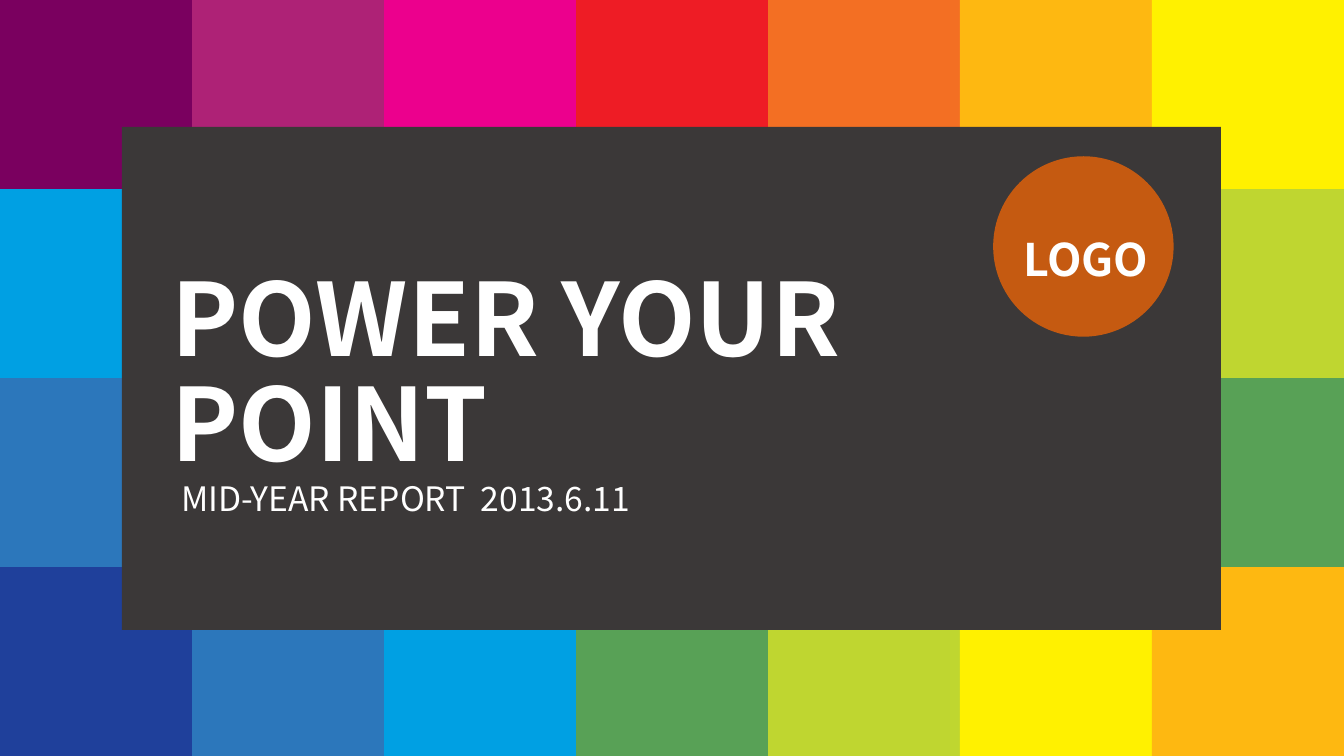
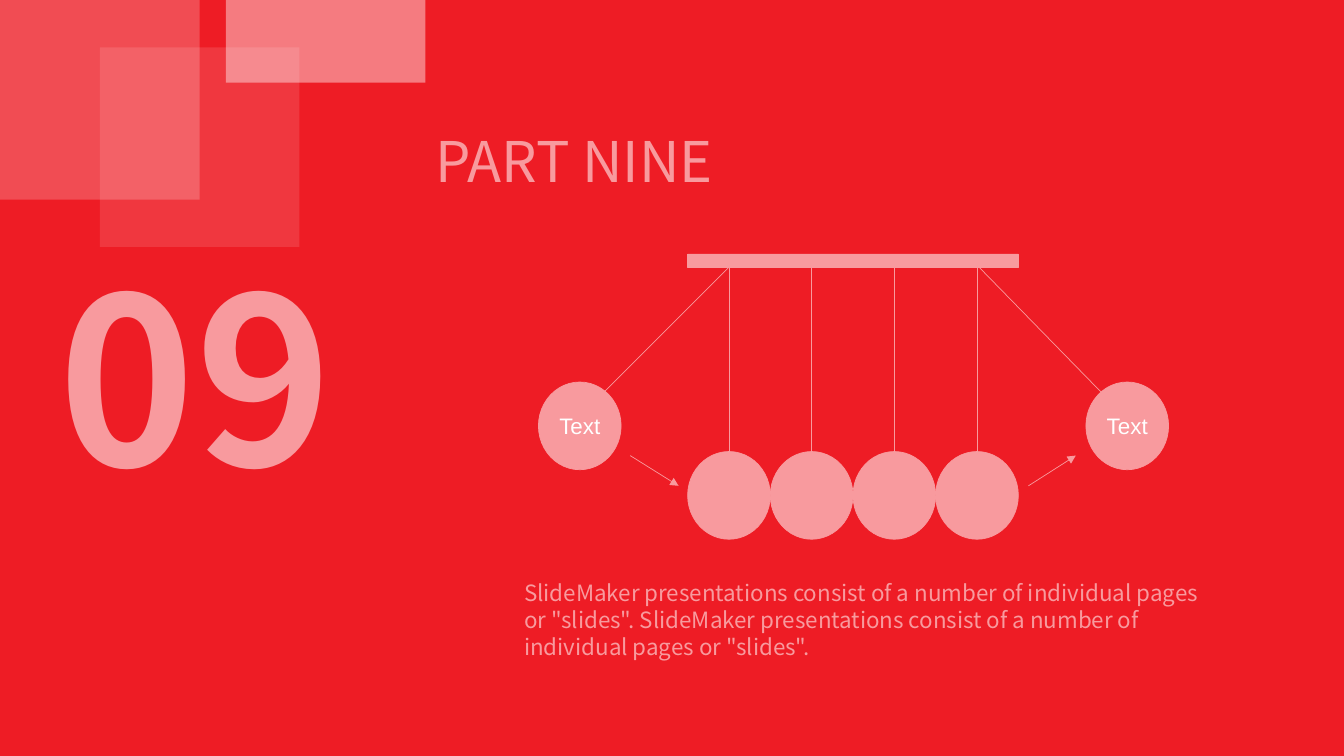
"""Build a colourful report cover and a section slide with a swinging-ball diagram."""
from pptx import Presentation
from pptx.dml.color import RGBColor
from pptx.enum.shapes import MSO_CONNECTOR as Connector, MSO_SHAPE as Shape
from pptx.enum.text import MSO_ANCHOR as Anchor, PP_ALIGN as Align
from pptx.oxml.ns import qn
from pptx.util import Inches, Pt
from lxml.etree import SubElement

WIDTH, HEIGHT = 13.33, 7.5
FONT, LABEL_FONT = "Noto Sans CJK SC", "Arial"

WHITE = RGBColor(0xFF, 0xFF, 0xFF)
CHARCOAL = RGBColor(0x3B, 0x38, 0x38)
RUST = RGBColor(0xC5, 0x5A, 0x11)
PINK = RGBColor(0xF8, 0x9A, 0x9E)
PLUM = RGBColor(0x7A, 0x00, 0x5F)
PURPLE = RGBColor(0xAE, 0x22, 0x76)
MAGENTA = RGBColor(0xEC, 0x00, 0x8D)
RED = RGBColor(0xEE, 0x1C, 0x25)
ORANGE = RGBColor(0xF3, 0x6F, 0x23)
AMBER = RGBColor(0xFE, 0xB8, 0x11)
YELLOW = RGBColor(0xFF, 0xF1, 0x00)
LIME = RGBColor(0xBF, 0xD6, 0x30)
GREEN = RGBColor(0x58, 0xA1, 0x56)
SKY = RGBColor(0x00, 0xA0, 0xE3)
BLUE = RGBColor(0x2C, 0x77, 0xBB)
NAVY = RGBColor(0x1F, 0x40, 0x9B)

MOSAIC = [
    [PLUM, PURPLE, MAGENTA, RED, ORANGE, AMBER, YELLOW],
    [SKY, None, None, None, None, None, LIME],
    [BLUE, None, None, None, None, None, GREEN],
    [NAVY, BLUE, SKY, GREEN, LIME, YELLOW, AMBER],
]
PANEL = (1.21, 1.26, 10.9, 4.99)
BADGE = (9.85, 1.55, 1.79, 1.79)
COVER_TEXTS = [
    ("POWER YOUR POINT", (1.6, 2.65, 7.54, 2.2),
     dict(size=72, bold=True, spacing=75)),
    ("MID-YEAR REPORT\t2013.6.11", (1.7, 4.69, 5.53, 0.5),
     dict(size=24, tab=2.97)),
    ("LOGO", (9.51, 1.95, 2.52, 0.84),
     dict(size=32, bold=True, spacing=60, align=Align.CENTER)),
]

VEILS = [((0.99, 0.47, 1.98, 1.98), 12), ((0, 0, 1.98, 1.98), 21),
         ((2.24, 0, 1.98, 0.82), 42)]
SENTENCE = 'SlideMaker presentations consist of a number of individual pages or "slides".'
SECTION_TEXTS = [
    ("09", (0.48, 2.27, 3.07, 2.89), dict(size=166, bold=True)),
    ("PART NINE", (4.22, 1.21, 3.12, 0.77), dict(size=40)),
    (f"{SENTENCE} {SENTENCE}", (5.1, 5.7, 7.13, 0.91), dict(size=16)),
]
BALL_W, BALL_H = 0.82, 0.87
HANGING_BALLS = 4
BAR_X, BAR_Y, BAR_H = 6.82, 2.52, 0.13
HANGING_Y, SWUNG_Y = 4.48, 3.79
SWUNG_BALLS = [("Text", 5.34), ("Text", 10.77)]
SWUNG_STRINGS = [((7.23, 2.65), (5.78, 4.1)), ((9.71, 2.65), (10.95, 3.92))]
ARROWS = [((6.25, 4.52), (6.73, 4.82)), ((10.2, 4.82), (10.67, 4.52))]


def add_figure(slide, kind, box, color, outlined=False, opacity=None):
    figure = slide.shapes.add_shape(kind, *map(Inches, box))
    figure.shadow.inherit = False
    figure.fill.solid()
    figure.fill.fore_color.rgb = color
    if opacity is not None:
        tint = next(figure.element.spPr.iter(qn("a:srgbClr")))
        SubElement(tint, qn("a:alpha"), val=str(opacity * 1000))
    if outlined:
        figure.line.color.rgb = color
        figure.line.width = Pt(0.5)
    else:
        figure.line.fill.background()
    return figure


def write(frame, text, size, color, font=FONT, bold=False, spacing=None,
          align=Align.LEFT, tab=None):
    frame.text = text
    paragraph = frame.paragraphs[0]
    paragraph.alignment = align
    if spacing:
        paragraph.line_spacing = Pt(spacing)
    if tab:
        stops = SubElement(paragraph._p.get_or_add_pPr(), qn("a:tabLst"))
        SubElement(stops, qn("a:tab"), pos=str(Inches(tab)), algn="l")
    for run in paragraph.runs:
        run.font.name, run.font.size, run.font.bold = font, Pt(size), bold
        run.font.color.rgb = color


def add_texts(slide, texts, color):
    for text, box, style in texts:
        frame = slide.shapes.add_textbox(*map(Inches, box)).text_frame
        frame.word_wrap = True
        write(frame, text, color=color, **style)


def add_line(slide, start, end, arrow=False):
    line = slide.shapes.add_connector(
        Connector.STRAIGHT, *map(Inches, (*start, *end)))
    line.line.color.rgb = PINK
    line.line.width = Pt(0.5)
    if arrow:
        SubElement(line.line._get_or_add_ln(), qn("a:tailEnd"), type="triangle")
    SubElement(line.element.spPr, qn("a:effectLst"))


def add_ball(slide, x, y):
    return add_figure(slide, Shape.OVAL, (x, y, BALL_W, BALL_H), PINK, outlined=True)


def build_cover(slide):
    tile_h = HEIGHT / len(MOSAIC)
    for row, colors in enumerate(MOSAIC):
        tile_w = WIDTH / len(colors)
        for column, color in enumerate(colors):
            if color is not None:
                add_figure(slide, Shape.RECTANGLE,
                           (column * tile_w, row * tile_h, tile_w, tile_h), color)
    add_figure(slide, Shape.RECTANGLE, PANEL, CHARCOAL)
    add_figure(slide, Shape.OVAL, BADGE, RUST)
    add_texts(slide, COVER_TEXTS, WHITE)


def build_section(slide):
    slide.background.fill.solid()
    slide.background.fill.fore_color.rgb = RED
    for box, opacity in VEILS:
        add_figure(slide, Shape.RECTANGLE, box, WHITE, opacity=opacity)
    add_texts(slide, SECTION_TEXTS, PINK)

    for start, end in SWUNG_STRINGS:
        add_line(slide, start, end)
    for place in range(HANGING_BALLS):
        x = BAR_X + place * BALL_W
        center = x + BALL_W / 2
        add_line(slide, (center, HANGING_Y), (center, BAR_Y + BAR_H))
        add_ball(slide, x, HANGING_Y)
    add_figure(slide, Shape.RECTANGLE,
               (BAR_X, BAR_Y, HANGING_BALLS * BALL_W, BAR_H), PINK, outlined=True)
    for label, x in SWUNG_BALLS:
        frame = add_ball(slide, x, SWUNG_Y).text_frame
        frame.word_wrap = False
        frame.vertical_anchor = Anchor.MIDDLE
        frame.margin_left = frame.margin_right = Inches(0.05)
        frame.margin_top = frame.margin_bottom = Inches(0.05)
        write(frame, label, 16, WHITE, font=LABEL_FONT, align=Align.CENTER)
    for start, end in ARROWS:
        add_line(slide, start, end, arrow=True)


def main():
    deck = Presentation()
    deck.slide_width, deck.slide_height = Inches(WIDTH), Inches(HEIGHT)
    for build in (build_cover, build_section):
        build(deck.slides.add_slide(deck.slide_layouts[6]))
    deck.save("out.pptx")


if __name__ == "__main__":
    main()
